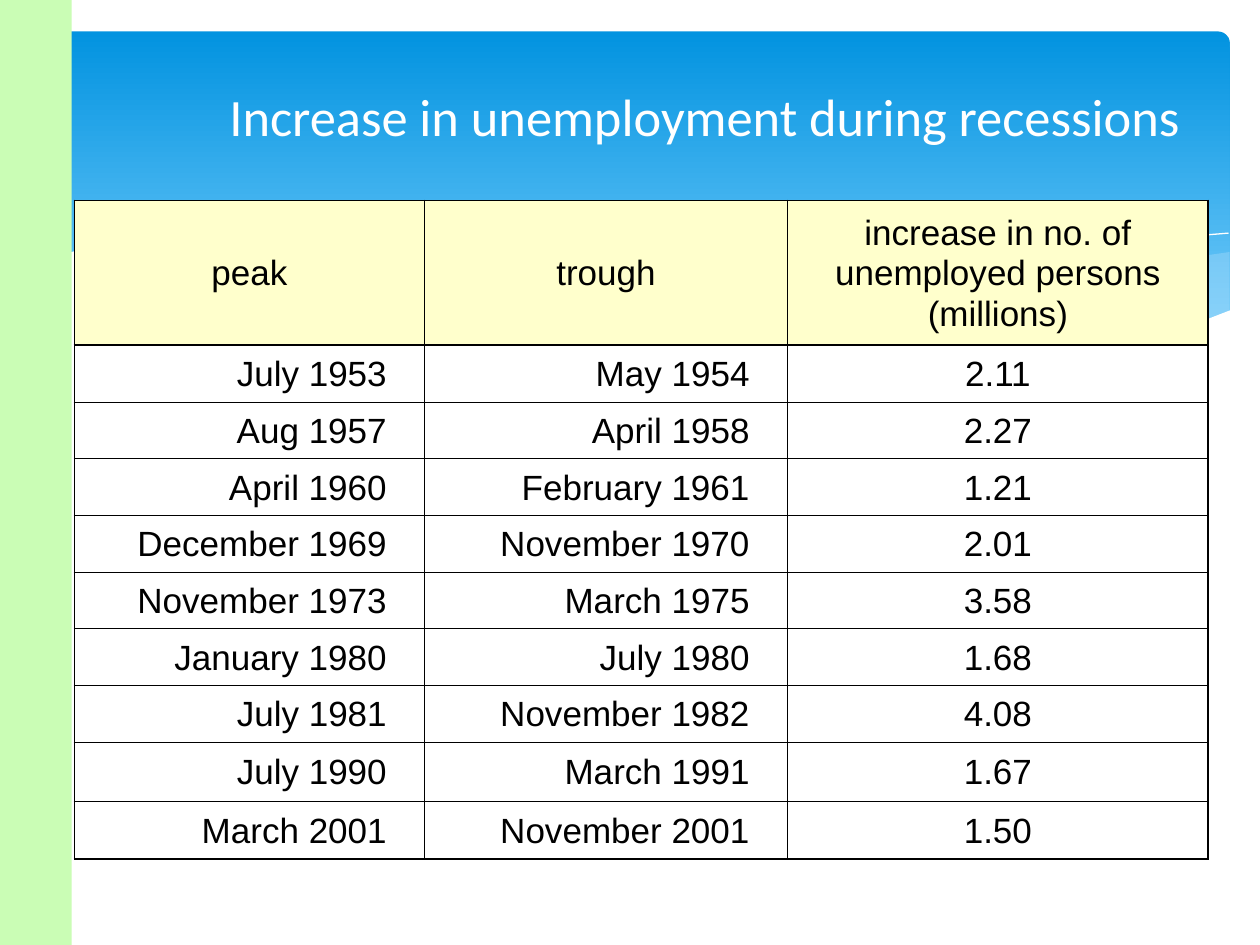
from lxml import etree
from pptx import Presentation
from pptx.dml.color import RGBColor
from pptx.enum.shapes import MSO_SHAPE
from pptx.enum.text import MSO_ANCHOR, MSO_AUTO_SIZE, PP_ALIGN
from pptx.oxml.ns import qn
from pptx.util import Inches, Pt

CENTER, RIGHT = PP_ALIGN.CENTER, PP_ALIGN.RIGHT
MIDDLE = MSO_ANCHOR.MIDDLE
RECTANGLE, ROUNDED = MSO_SHAPE.RECTANGLE, MSO_SHAPE.ROUNDED_RECTANGLE

COLORS = {
    "white": "FFFFFF", "black": "000000", "header": "FFFFCC", "side": "CAFDB5",
    "band_top": "0293E0", "band_bottom": "83D3FE", "wave": "C6E7FC",
}

TITLE = "Increase in unemployment during recessions"
ROWS = [
    ("peak", "trough", "increase in no. of unemployed persons (millions)"),
    ("July 1953", "May 1954", "2.11"),
    ("Aug 1957", "April 1958", "2.27"),
    ("April 1960", "February 1961", "1.21"),
    ("December 1969", "November 1970", "2.01"),
    ("November 1973", "March 1975", "3.58"),
    ("January 1980", "July 1980", "1.68"),
    ("July 1981", "November 1982", "4.08"),
    ("July 1990", "March 1991", "1.67"),
    ("March 2001", "November 2001", "1.50"),
]
COLUMN_WIDTHS = [2.78, 2.88, 3.34]
ROW_HEIGHTS = [1.15] + [0.45] * 7 + [0.47, 0.46]
TABLE_LEFT, TABLE_TOP = 0.59, 1.59
THICK, THIN = 1.08, 0.45
COLUMN_LINES = [THICK, THIN, THICK, THICK]
ROW_LINES = [THICK, THICK] + [THIN] * 8 + [THICK]

WAVES = [
    {"fill": "wave", "alpha": 29, "points": [
        (9.76, 2), (9.48, 2.04), (9.06, 2.13), (8.61, 2.23), (8.05, 2.37), (7.53, 2.48),
        (7.06, 2.57), (6.61, 2.65), (7.05, 2.71), (7.45, 2.75), (8.03, 2.78),
        (8.54, 2.76), (8.97, 2.7), (9.35, 2.62), (9.63, 2.52), (9.76, 2.47)]},
    {"fill": "wave", "alpha": 40, "points": [
        (8.93, 2.73), (8.37, 2.65), (7.75, 2.54), (7.06, 2.4), (6.29, 2.22), (5.69, 2.08),
        (5.14, 1.98), (4.64, 1.91), (4.2, 1.87), (3.8, 1.85), (3.28, 1.87), (2.86, 1.91),
        (3.42, 1.99), (4.04, 2.11), (4.91, 2.32), (5.66, 2.48), (6.34, 2.61),
        (6.95, 2.7), (7.48, 2.76), (8.07, 2.79), (8.57, 2.77)]},
    {"line": "white", "points": [
        (3.09, 1.95), (3.43, 1.9), (3.87, 1.87), (4.33, 1.87), (4.89, 1.9), (5.56, 1.97),
        (6.36, 2.08), (6.95, 2.19), (7.6, 2.33), (8.31, 2.51), (9.07, 2.72)]},
    {"line": "white", "points": [
        (6.13, 2.57), (6.52, 2.46), (6.95, 2.35), (7.48, 2.23), (8.06, 2.1), (8.66, 1.99),
        (9.1, 1.92), (9.51, 1.87), (9.75, 1.85)]},
    {"fill": "white", "points": [
        (9.77, 2.46), (9.59, 2.53), (9.3, 2.62), (8.99, 2.69), (8.5, 2.75), (8.09, 2.77),
        (7.44, 2.74), (6.88, 2.68), (6.26, 2.58), (5.55, 2.45), (4.75, 2.27), (3.91, 2.07),
        (3.39, 1.97), (2.92, 1.9), (2.5, 1.86), (1.93, 1.84), (1.46, 1.85), (1.06, 1.89),
        (0.75, 1.95), (0.46, 2.03), (0.23, 2.13), (0.23, 3.29), (9.77, 3.29)]},
]


def color(name):
    return RGBColor.from_string(COLORS[name])


def write(frame, text, size, font, ink, align):
    frame.word_wrap = True
    para = frame.paragraphs[0]
    para.alignment = align
    span = para.add_run()
    span.text = text
    span.font.size = Pt(size)
    span.font.name = font
    span.font.color.rgb = color(ink)
    return para


def add_block(page, kind, left, top, width, height):
    block = page.shapes.add_shape(kind, *map(Inches, (left, top, width, height)))
    block.shadow.inherit = False
    block.line.fill.background()
    return block


def add_wave(page, points, fill=None, line=None, alpha=None):
    start, *rest = [(Inches(x), Inches(y)) for x, y in points]
    builder = page.shapes.build_freeform(*start)
    builder.add_line_segments(rest, close=fill is not None)
    wave = builder.convert_to_shape()
    wave.shadow.inherit = False
    if fill:
        wave.fill.solid()
        wave.fill.fore_color.rgb = color(fill)
        wave.line.fill.background()
    else:
        wave.fill.background()
        wave.line.color.rgb = color(line)
        wave.line.width = Pt(0)
    if alpha:
        tint = wave.element.spPr.find(qn("a:solidFill"))[0]
        etree.SubElement(tint, qn("a:alpha"), val=str(alpha * 1000))


def set_borders(cell, widths):
    properties = cell._tc.get_or_add_tcPr()
    for position, (side, width) in enumerate(widths.items()):
        edge = etree.Element(qn(f"a:ln{side}"), w=str(Pt(width)))
        fill = etree.SubElement(edge, qn("a:solidFill"))
        etree.SubElement(fill, qn("a:srgbClr"), val=COLORS["black"])
        properties.insert(position, edge)


def add_backdrop(page):
    band = add_block(page, ROUNDED, 0.25, 0.25, 9.51, 2.7)
    band.adjustments[0] = 0.034
    band.fill.gradient()
    band.fill.gradient_angle = 270
    for stop, name in zip(band.fill.gradient_stops, ("band_top", "band_bottom")):
        stop.color.rgb = color(name)
    for wave in WAVES:
        add_wave(page, **wave)
    side = add_block(page, RECTANGLE, 0, 0, 0.57, 7.5)
    side.fill.solid()
    side.fill.fore_color.rgb = color("side")


def add_title(page):
    title = page.shapes.title
    title.left, title.top, title.width, title.height = map(Inches, (1.66, 0.26, 7.87, 1.31))
    title.text_frame.vertical_anchor = MIDDLE
    title.text_frame.auto_size = MSO_AUTO_SIZE.NONE
    write(title.text_frame, TITLE, size=30, font="Calibri", ink="white", align=CENTER)
    title.element.getparent().append(title.element)


def add_recession_table(page):
    table = page.shapes.add_table(
        len(ROWS), len(COLUMN_WIDTHS), Inches(TABLE_LEFT), Inches(TABLE_TOP),
        Inches(sum(COLUMN_WIDTHS)), Inches(sum(ROW_HEIGHTS))).table
    table.horz_banding = False
    for column, width in zip(table.columns, COLUMN_WIDTHS):
        column.width = Inches(width)
    for r, (values, height) in enumerate(zip(ROWS, ROW_HEIGHTS)):
        table.rows[r].height = Inches(height)
        for c, value in enumerate(values):
            cell = table.cell(r, c)
            is_date = r > 0 and c < 2
            cell.vertical_anchor = MIDDLE
            cell.margin_left = Inches(0.1)
            cell.margin_right = Inches(0.3 if is_date else 0.1)
            cell.margin_top = cell.margin_bottom = Inches(0.05)
            cell.fill.solid()
            cell.fill.fore_color.rgb = color("white" if r else "header")
            para = write(cell.text_frame, value, size=20, font="Arial", ink="black",
                         align=RIGHT if is_date else CENTER)
            para.line_spacing = 1.05
            set_borders(cell, {"L": COLUMN_LINES[c], "R": COLUMN_LINES[c + 1],
                               "T": ROW_LINES[r], "B": ROW_LINES[r + 1]})


def main():
    deck = Presentation()
    deck.slide_width, deck.slide_height = Inches(10), Inches(7.5)
    page = deck.slides.add_slide(deck.slide_layouts[5])
    add_backdrop(page)
    add_title(page)
    add_recession_table(page)
    deck.save("out.pptx")


if __name__ == "__main__":
    main()
